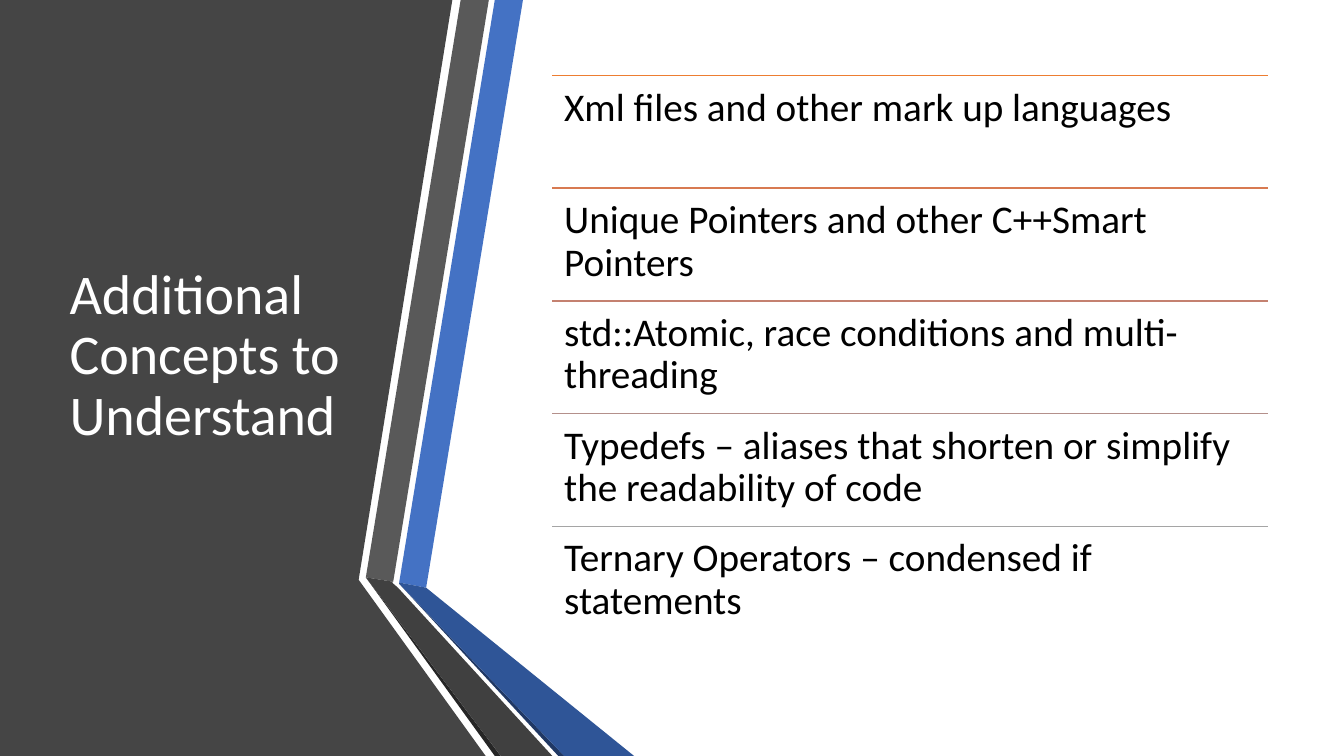
from lxml import etree
from pptx import Presentation
from pptx.dml.color import RGBColor
from pptx.enum import shapes, text
from pptx.oxml import ns
from pptx.util import Cm, Pt

WIDTH, HEIGHT = 33.87, 19.05


def paint(color_format, hex_color):
    color_format.rgb = RGBColor.from_string(hex_color)


def write(frame, wording, size, hex_color):
    frame.text = wording
    frame.word_wrap = True
    frame.auto_size = text.MSO_AUTO_SIZE.NONE
    para = frame.paragraphs[0]
    para.alignment = text.PP_ALIGN.LEFT
    para.line_spacing = 0.9
    span = para.runs[0]
    span.font.name = "Calibri"
    span.font.size = Pt(size)
    paint(span.font.color, hex_color)


deck = Presentation()
deck.slide_width, deck.slide_height = Cm(WIDTH), Cm(HEIGHT)
page = deck.slides.add_slide(deck.slide_layouts[5])

# Dark panel and the folded ribbons along its edge, corners in cm
panel = ("454545", [(0, 0), (8.97, 0), (11.4, 0), (9.04, 14.61), (12.24, HEIGHT), (0, HEIGHT)])
ribbons = [
    ("4472C4", [(10.06, 14.68), (10.74, 14.81), (13.18, 0), (12.47, 0)]),
    ("595959", [(12.32, 0), (11.61, 0), (9.22, 14.55), (9.91, 14.66)]),
    ("262626", [(9.22, 14.55), (12.47, HEIGHT), (12.62, HEIGHT)]),
    ("203864", [(10.06, 14.71), (14.07, HEIGHT), (14.22, HEIGHT)]),
    ("2F5597", [(10.06, 14.71), (14.22, HEIGHT), (15.98, HEIGHT), (10.74, 14.81), (10.06, 14.68)]),
    ("404040", [(13.92, HEIGHT), (10.03, 14.81), (9.88, 14.68), (9.91, 14.66),
                (9.22, 14.55), (12.62, HEIGHT)]),
]
ribbon_group = page.shapes.add_group_shape()
for owner, (hex_color, corners) in [(page, panel)] + [(ribbon_group, ribbon) for ribbon in ribbons]:
    points = [(Cm(x), Cm(y)) for x, y in corners]
    builder = owner.shapes.build_freeform(*points[0])
    builder.add_line_segments(points[1:], close=True)
    outline = builder.convert_to_shape()
    outline.shadow.inherit = False
    outline.fill.solid()
    paint(outline.fill.fore_color, hex_color)
    outline.line.fill.background()

# The panel goes behind the ribbons, the title in front of both
tree = page.shapes._spTree
tree.append(ribbon_group._element)
title = page.shapes.title
tree.append(title._element)
title.left, title.top, title.width, title.height = Cm(1.5), Cm(1.9), Cm(7.72), Cm(14.18)
write(title.text_frame, "Additional Concepts to Understand", 40, "FFFFFF")
title.text_frame.vertical_anchor = text.MSO_ANCHOR.MIDDLE

# Ruled list of concepts
concepts = [
    ("ED7D31", "Xml files and other mark up languages"),
    ("D87A51", "Unique Pointers and other C++Smart Pointers"),
    ("C48170", "std::Atomic, race conditions and multi-threading"),
    ("B4908B", "Typedefs – aliases that shorten or simplify the readability of code"),
    ("A5A5A5", "Ternary Operators – condensed if statements"),
]
list_left, list_top, list_width, row_height = 13.92, 1.9, 18.03, 2.84
concept_list = page.shapes.add_group_shape()
for row, (hex_color, wording) in enumerate(concepts):
    top = Cm(list_top + row * row_height)
    rule = concept_list.shapes.add_connector(
        shapes.MSO_CONNECTOR.STRAIGHT, Cm(list_left), top, Cm(list_left + list_width), top)
    paint(rule.line.color, hex_color)
    rule.line.width = Pt(1)
    etree.SubElement(rule._element.spPr, ns.qn("a:effectLst"))

    box = concept_list.shapes.add_textbox(Cm(list_left), top, Cm(list_width), Cm(row_height))
    frame = box.text_frame
    frame.margin_left = frame.margin_right = frame.margin_top = frame.margin_bottom = Cm(0.3)
    write(frame, wording, 28, "000000")

deck.save("out.pptx")
